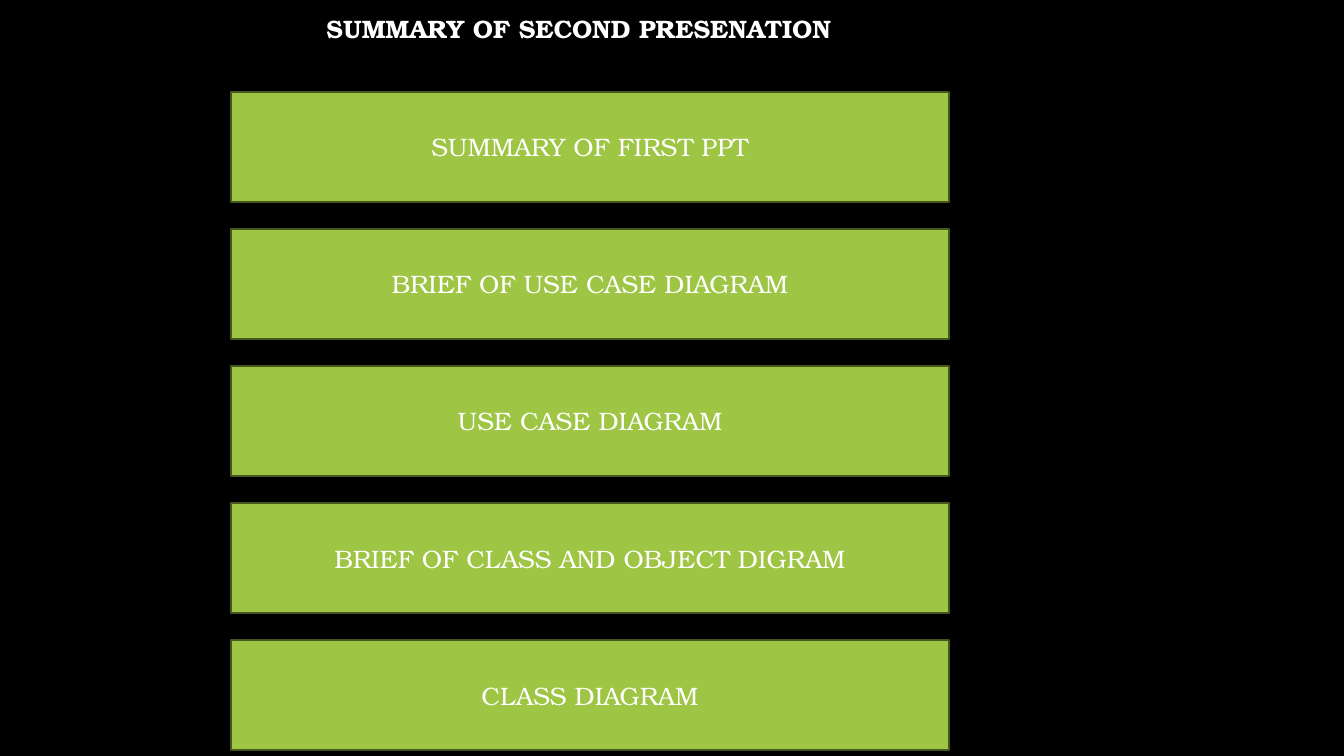
from pptx import Presentation
from pptx import util as u
from pptx.dml import color
from pptx.enum import shapes, text

TOPICS = [
    "SUMMARY OF FIRST PPT",
    "BRIEF OF USE CASE DIAGRAM",
    "USE CASE DIAGRAM",
    "BRIEF OF CLASS AND OBJECT DIGRAM",
    "CLASS DIAGRAM",
]
FIRST_TOP, STEP = 0.91, 1.36


def rgb(value):
    return color.RGBColor.from_string(value)


class SummarySlide:
    font_name = "TeX Gyre Bonum"
    font_size = 18
    background = "000000"
    ink = "FFFFFF"
    bar_fill = "9EC544"
    bar_line = "45561E"

    def __init__(self, deck):
        self.page = deck.slides.add_slide(deck.slide_layouts[6])
        fill = self.page.background.fill
        fill.solid()
        fill.fore_color.rgb = rgb(self.background)

    def set_words(self, frame, words, align, bold=False):
        frame.word_wrap = True
        para = frame.paragraphs[0]
        para.text = words
        para.alignment = align
        para.font.name = self.font_name
        para.font.size = u.Pt(self.font_size)
        para.font.bold = bold
        para.font.color.rgb = rgb(self.ink)

    def title(self, words, left, top, width, height):
        box = self.page.shapes.add_textbox(
            u.Inches(left), u.Inches(top), u.Inches(width), u.Inches(height))
        self.set_words(box.text_frame, words, text.PP_ALIGN.LEFT, bold=True)
        box.text_frame.auto_size = text.MSO_AUTO_SIZE.SHAPE_TO_FIT_TEXT

    def bar(self, words, left, top, width, height):
        box = self.page.shapes.add_shape(
            shapes.MSO_SHAPE.RECTANGLE,
            u.Inches(left), u.Inches(top), u.Inches(width), u.Inches(height))
        box.shadow.inherit = False
        box.fill.solid()
        box.fill.fore_color.rgb = rgb(self.bar_fill)
        box.line.color.rgb = rgb(self.bar_line)
        box.line.width = u.Pt(1.5)
        box.text_frame.vertical_anchor = text.MSO_ANCHOR.MIDDLE
        self.set_words(box.text_frame, words, text.PP_ALIGN.CENTER)


def main():
    deck = Presentation()
    deck.slide_width = u.Inches(13.33)
    deck.slide_height = u.Inches(7.5)
    summary = SummarySlide(deck)

    # Topic bars at equal steps
    for index, topic in enumerate(TOPICS):
        summary.bar(topic, 2.29, FIRST_TOP + index * STEP, 7.12, 1.09)

    # Heading
    summary.title("SUMMARY OF SECOND PRESENATION", 3.14, 0.08, 5.6, 0.4)

    deck.save("out.pptx")


if __name__ == "__main__":
    main()
